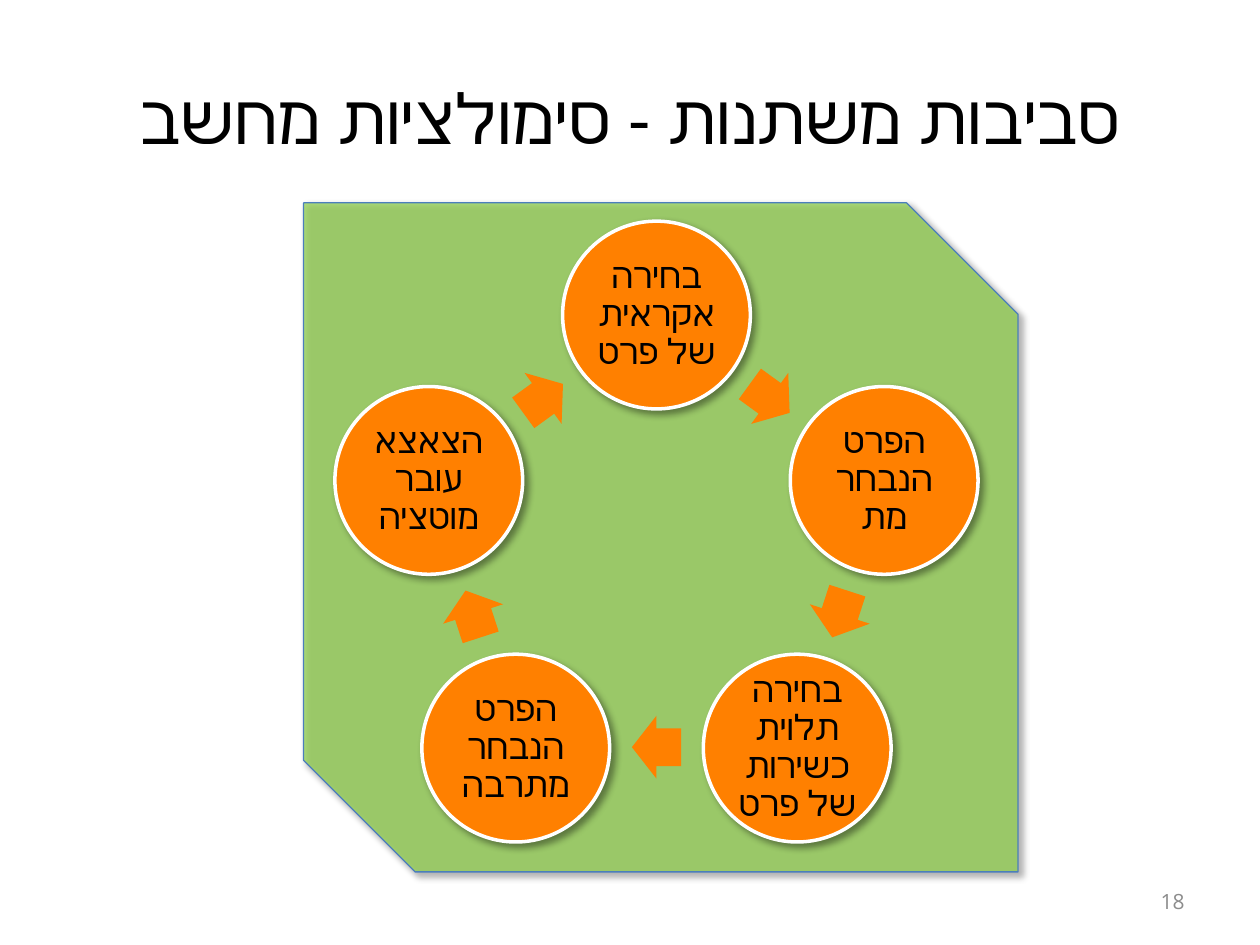
import math

from lxml import etree
from pptx import Presentation
from pptx.dml.color import RGBColor
from pptx.enum import shapes, text
from pptx.oxml import ns
from pptx.util import Inches, Pt

COLORS = {
    "black": "000000",
    "gray": "8C8C8C",
    "green": "92D050",
    "blue": "4B7EBC",
    "orange": "FF8000",
    "white": "FFFFFF",
}
STEPS = [
    ("בחירה אקראית של פרט", False),
    ("הפרט הנבחר מת", False),
    ("בחירה תלוית כשירות של פרט", True),
    ("הפרט הנבחר מתרבה", False),
    ("הצאצא עובר מוטציה", True),
]
CIRCLE_SIZE = 1.49
CIRCLE_ORBIT = 1.9
ARROW_SIZE = (0.39, 0.5)
ARROW_ORBIT = 1.53


def color(name):
    return RGBColor.from_string(COLORS[name])


def place(item, left, top, width, height):
    item.left, item.top = Inches(left), Inches(top)
    item.width, item.height = Inches(width), Inches(height)


def write(frame, words, size, font, ink, align, rtl=False, margin=0.1):
    frame.word_wrap = True
    frame.vertical_anchor = text.MSO_ANCHOR.MIDDLE
    frame.margin_left = frame.margin_right = Inches(margin)
    frame.margin_top = frame.margin_bottom = Inches(min(margin, 0.05))
    para = frame.paragraphs[0]
    para.alignment = align
    if rtl:
        para._p.get_or_add_pPr().set("rtl", "1")
    span = para.add_run()
    span.text = words
    span.font.size = Pt(size)
    span.font.name = font
    span.font.color.rgb = color(ink)
    script = etree.SubElement(span._r.get_or_add_rPr(), ns.qn("a:cs"))
    script.set("typeface", font)
    return para


def add_shape(page, kind, box, fill, line=None, line_width=0):
    shape = page.shapes.add_shape(kind, *map(Inches, box))
    shape.shadow.inherit = False
    shape.fill.solid()
    shape.fill.fore_color.rgb = color(fill)
    if line:
        shape.line.color.rgb = color(line)
        shape.line.width = Pt(line_width)
    else:
        shape.line.fill.background()
    return shape


def add_alpha(parent, percent):
    etree.SubElement(parent, ns.qn("a:alpha")).set("val", str(percent * 1000))


def add_shadow(shape):
    effects = shape._element.spPr.find(ns.qn("a:effectLst"))
    shadow = etree.SubElement(effects, ns.qn("a:outerShdw"))
    shadow.set("blurRad", str(Pt(4)))
    shadow.set("dist", str(Pt(3)))
    shadow.set("dir", str(45 * 60000))
    shadow.set("rotWithShape", "0")
    tint = etree.SubElement(shadow, ns.qn("a:srgbClr"))
    tint.set("val", COLORS["black"])
    add_alpha(tint, 40)


def orbit_box(center, radius, degrees, width, height):
    angle = math.radians(degrees)
    x = center[0] + radius * math.sin(angle)
    y = center[1] - radius * math.cos(angle)
    return x - width / 2, y - height / 2, width, height


def add_title(page, box):
    title = page.shapes.title
    place(title, *box)
    write(title.text_frame, "סביבות משתנות - סימולציות מחשב", 39.6,
          "Open Sans", "black", text.PP_ALIGN.CENTER, rtl=True)


def add_panel(page, box):
    panel = add_shape(page, shapes.MSO_SHAPE.SNIP_2_DIAG_RECTANGLE, box,
                      "green", "blue", 0.75)
    fill = panel._element.spPr.find(ns.qn("a:solidFill"))
    add_alpha(fill[0], 75)
    add_shadow(panel)


def add_cycle(page, center):
    turn = 360 / len(STEPS)
    for index, (words, rtl) in enumerate(STEPS):
        box = orbit_box(center, CIRCLE_ORBIT, index * turn, CIRCLE_SIZE, CIRCLE_SIZE)
        circle = add_shape(page, shapes.MSO_SHAPE.OVAL, box, "orange", "white", 2)
        add_shadow(circle)
        para = write(circle.text_frame, words, 20, "Roboto", "black",
                     text.PP_ALIGN.CENTER, rtl, margin=0.03)
        para.line_spacing = 0.9

        heading = (index + 0.5) * turn
        box = orbit_box(center, ARROW_ORBIT, heading, *ARROW_SIZE)
        arrow = add_shape(page, shapes.MSO_SHAPE.RIGHT_ARROW, box, "orange")
        arrow.adjustments[0] = 0.6
        arrow.adjustments[1] = 0.5
        arrow.rotation = heading


def add_page_number(page, box):
    number = page.shapes.add_textbox(*map(Inches, box))
    write(number.text_frame, "18", 12, "Open Sans", "gray",
          text.PP_ALIGN.RIGHT, rtl=True)


def main():
    deck = Presentation()
    deck.slide_width, deck.slide_height = Inches(10), Inches(7.5)
    page = deck.slides.add_slide(deck.slide_layouts[5])
    add_title(page, (0.5, 0.3, 9, 1.25))
    add_page_number(page, (7.17, 6.95, 2.33, 0.4))
    add_panel(page, (2.41, 1.61, 5.67, 5.31))
    add_cycle(page, (5.21, 4.4))
    deck.save("out.pptx")


if __name__ == "__main__":
    main()
